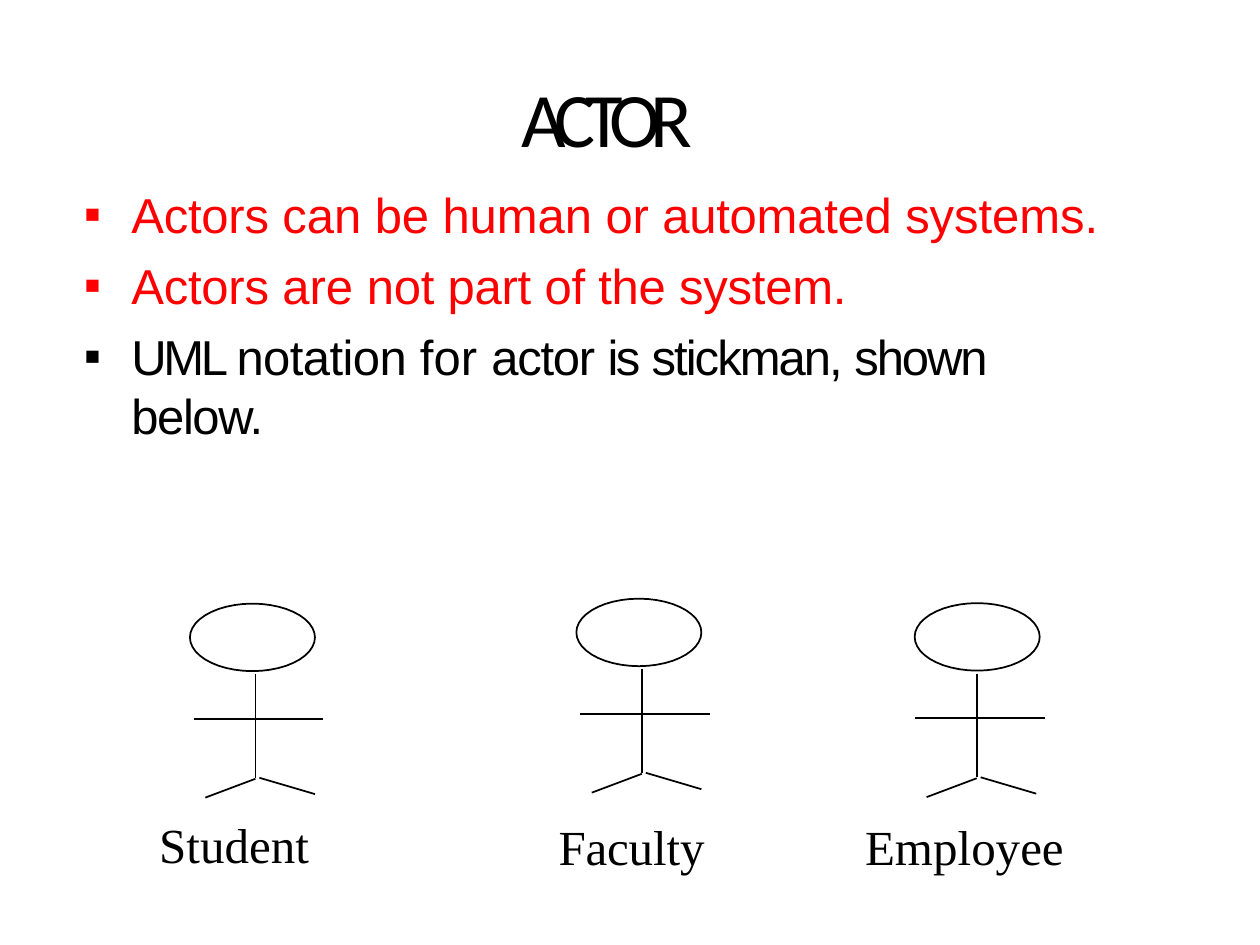
import math
from dataclasses import dataclass

from lxml import etree
from pptx import Presentation
from pptx.dml.color import RGBColor
from pptx.enum import text
from pptx.oxml import ns
from pptx.util import Cm, Pt


@dataclass(frozen=True)
class Theme:
    ink = RGBColor(0, 0, 0)
    accent = RGBColor(255, 0, 0)
    heading_font = "Calibri"
    body_font = "Arial"
    label_font = "Times New Roman"
    heading_size = Pt(44)
    body_size = Pt(28)
    stroke = Pt(1)


THEME = Theme()


def add_frame(slide, box, anchor=text.MSO_ANCHOR.TOP):
    frame = slide.shapes.add_textbox(*map(Cm, box)).text_frame
    frame.word_wrap = True
    frame.vertical_anchor = anchor
    frame.margin_left = frame.margin_right = frame.margin_bottom = 0
    frame.margin_top = Cm(0.03)
    return frame


def write(paragraph, pieces, font, size, color):
    paragraph.font.name = font
    paragraph.font.size = size
    paragraph.font.color.rgb = color
    for words, spacing in pieces:
        run = paragraph.add_run()
        run.text = words
        run._r.get_or_add_rPr().set("spc", str(round(spacing * 100)))


def add_bullet(paragraph, symbol):
    properties = paragraph._p.get_or_add_pPr()
    properties.set("marL", str(Cm(1.02)))
    properties.set("indent", str(Cm(-0.96)))
    typeface = etree.SubElement(properties, ns.qn("a:buFont"))
    typeface.set("typeface", THEME.body_font)
    bullet = etree.SubElement(properties, ns.qn("a:buChar"))
    bullet.set("char", symbol)


def title(slide, box):
    frame = add_frame(slide, box, text.MSO_ANCHOR.MIDDLE)
    frame.margin_left = Cm(0.03)
    write(frame.paragraphs[0], [("ACTOR", -6.2)],
          THEME.heading_font, THEME.heading_size, THEME.ink)


def bullet_list(slide, box, points):
    frame = add_frame(slide, box)
    for index, (color, pieces) in enumerate(points):
        point = frame.add_paragraph() if index else frame.paragraphs[0]
        if index:
            point.space_before = Pt(7)
        add_bullet(point, "▪")
        write(point, pieces, THEME.body_font, THEME.body_size, color)


def stickman(slide, left, top, body_shift=0):
    radius_x, radius_y, steps = 1.26, 0.68, 44
    angles = [2 * math.pi * step / steps for step in range(steps)]
    head = [(Cm(left + radius_x * (1 + math.sin(angle))),
             Cm(top + radius_y * (1 - math.cos(angle)))) for angle in angles]
    outline = slide.shapes.build_freeform(*head[0])
    outline.add_line_segments(head[1:], close=True)

    torso = (1.32, 1.42, 1.32, 3.51)
    arms = (0.08, 2.32, 2.69, 2.32)
    left_leg = (1.32, 3.53, 0.31, 3.91)
    right_leg = (1.4, 3.51, 2.52, 3.84)
    body_left = left + body_shift
    for x1, y1, x2, y2 in (torso, arms, left_leg, right_leg):
        outline.move_to(Cm(body_left + x1), Cm(top + y1))
        outline.add_line_segments(
            [(Cm(body_left + x2), Cm(top + y2))], close=False)

    figure = outline.convert_to_shape()
    figure.shadow.inherit = False
    figure.fill.background()
    figure.line.color.rgb = THEME.ink
    figure.line.width = THEME.stroke


def actor_label(slide, box, pieces):
    frame = add_frame(slide, box)
    frame.margin_left = Cm(0.03)
    write(frame.paragraphs[0], pieces,
          THEME.label_font, THEME.body_size, THEME.ink)


POINTS = [
    (THEME.accent, [("Actors ", -0.1), ("can ", 0), ("be ", -0.1), ("human ", 0),
                    ("or automated ", -0.1), ("systems.", 0)]),
    (THEME.accent, [("Actors ", -0.1), ("are ", 0),
                    ("not part of the system.", -0.1)]),
    (THEME.ink, [("UML ", -1.9), ("notation ", -0.3), ("for ", 0.1),
                 ("actor ", -0.7), ("is ", -1.4), ("stickman, ", -1.1),
                 ("shown ", -1.2), ("below.", -0.8)]),
]

ACTORS = [
    ((3.83, 12.17, 0), (3.18, 16.38, 3.1, 1.24),
     [("S", -0.1), ("t", 0.1), ("udent", 0)]),
    ((11.62, 12.07, 0), (11.23, 16.43, 3.02, 1.24),
     [("Facu", -0.1), ("lty", 0)]),
    ((18.44, 12.16, -0.07), (17.41, 16.43, 4.06, 1.24),
     [("E", -0.1), ("m", -0.2), ("p", 0), ("l", 0.1), ("o", 0),
      ("y", 0.1), ("ee", -0.1)]),
]


def main():
    deck = Presentation()
    deck.slide_width, deck.slide_height = Cm(25.4), Cm(19.05)
    slide = deck.slides.add_slide(deck.slide_layouts[6])
    title(slide, (10.49, 1.38, 4.42, 1.93))
    bullet_list(slide, (1.63, 3.68, 21.01, 4.11), POINTS)
    for figure, label_box, name in ACTORS:
        stickman(slide, *figure)
        actor_label(slide, label_box, name)
    deck.save("out.pptx")


if __name__ == "__main__":
    main()
